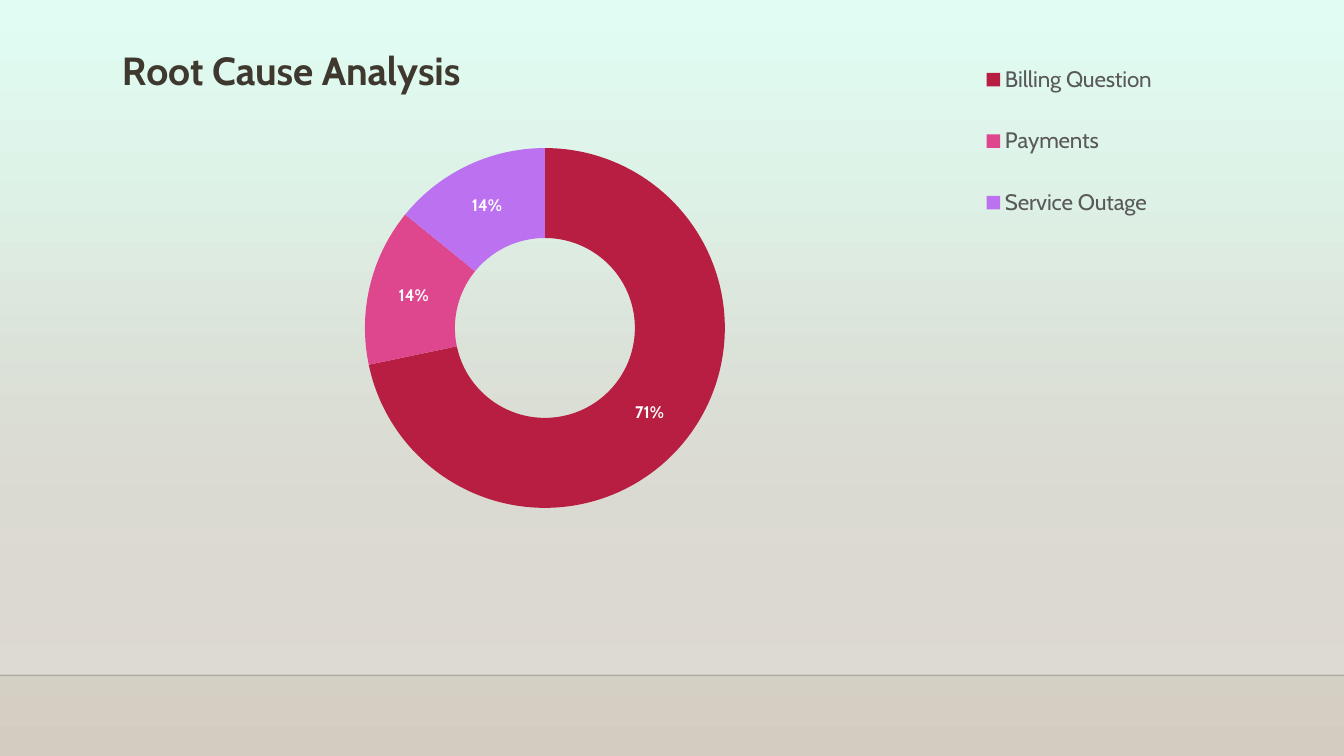
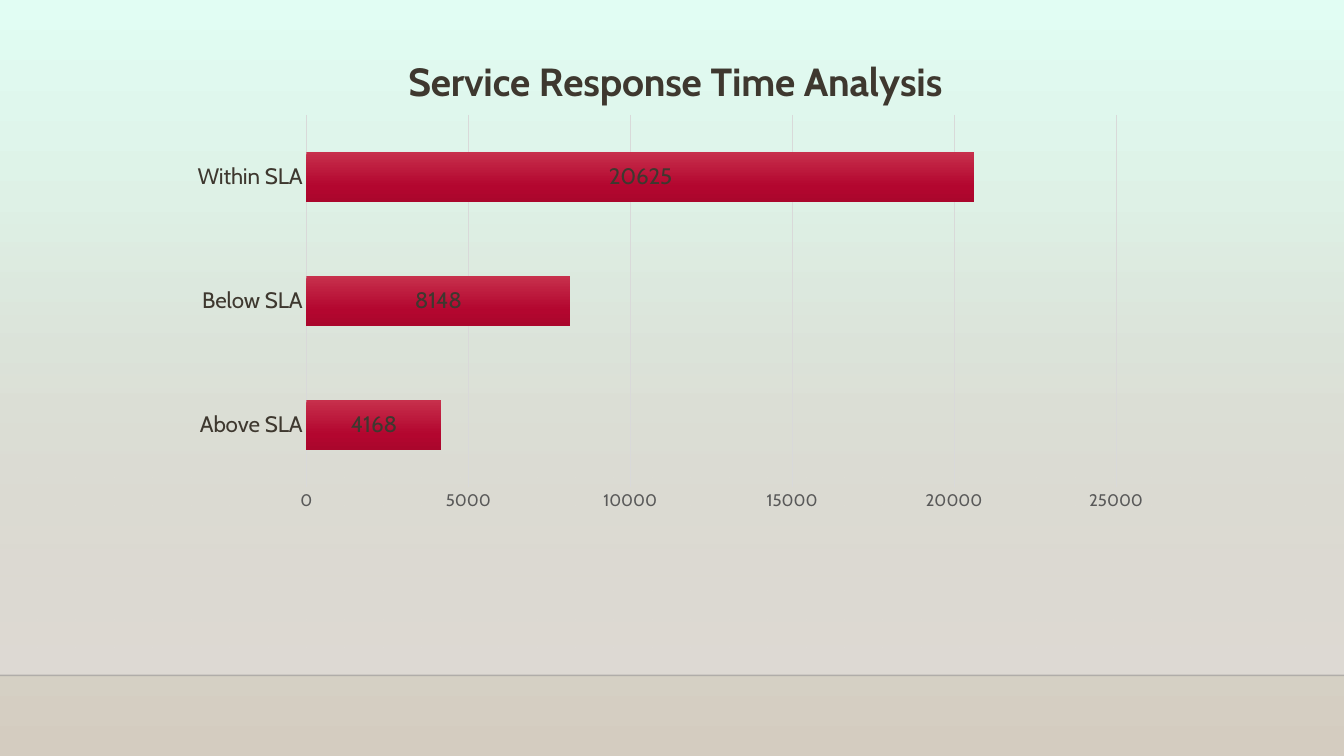
from typing import NamedTuple

from lxml.etree import SubElement
from pptx import Presentation
from pptx.chart.data import CategoryChartData
from pptx.dml.color import RGBColor
from pptx.enum.chart import XL_CHART_TYPE as CT
from pptx.enum.chart import XL_LABEL_POSITION as LP
from pptx.enum.chart import XL_LEGEND_POSITION, XL_TICK_MARK
from pptx.enum.shapes import MSO_CONNECTOR, MSO_SHAPE
from pptx.oxml.ns import qn
from pptx.util import Inches, Pt

FONT = "Cabin"
DARK = RGBColor(0x3E, 0x38, 0x2F)
GRAY = RGBColor(0x59, 0x59, 0x59)
GRID = RGBColor(0xD9, 0xD9, 0xD9)
WHITE = RGBColor(0xFF, 0xFF, 0xFF)
BLACK = RGBColor(0x00, 0x00, 0x01)
MINT = RGBColor(0xE1, 0xFD, 0xF3)
SAND = RGBColor(0xD4, 0xCC, 0xC0)
STONE = RGBColor(0xDF, 0xDB, 0xD5)
SLICES = (RGBColor(0xB7, 0x1E, 0x42), RGBColor(0xDE, 0x47, 0x8E),
          RGBColor(0xBC, 0x72, 0xF0))
BAR_TOP = RGBColor(0xC7, 0x30, 0x4C)
BAR_MID = RGBColor(0xB3, 0x06, 0x2F)
BAR_END = RGBColor(0xAA, 0x06, 0x2C)

SLIDE_W, SLIDE_H, FLOOR = 13.33, 7.5, 6.7


class Box(NamedTuple):
    """Place on the slide, in inches."""
    left: float
    top: float
    width: float = 0
    height: float = 0


class Stop(NamedTuple):
    percent: int
    color: RGBColor
    alpha: int = 100


class ChartSlide(NamedTuple):
    title: str
    kind: CT
    frame: Box
    title_box: Box
    plot_box: Box
    values: dict[str, int]


ROOT_CAUSE = ChartSlide(
    "Root Cause Analysis", CT.DOUGHNUT,
    Box(1.08, 0, 10.51, 5.18), Box(1.14, 0.36), Box(3.62, 1.47, 3.57, 3.57),
    {"Billing Question": 71, "Payments": 14, "Service Outage": 14})
LEGEND_BOX = Box(9.68, 0.31, 1.85, 2.18)

RESPONSE_TIME = ChartSlide(
    "Service Response Time Analysis", CT.BAR_STACKED,
    Box(1.76, 0.19, 9.77, 4.99), Box(3.98, 0.47), Box(3.04, 1.14, 8.03, 3.69),
    {"Above SLA": 4168, "Below SLA": 8148, "Within SLA": 20625})


def set_gradient(fill, owner, *stops: Stop) -> None:
    """Fill from top to bottom; owner is the element that holds the fill."""
    fill.gradient()
    fill.gradient_angle = 270
    gs_list = next(owner.iter(qn("a:gsLst")))
    for old in list(gs_list):
        gs_list.remove(old)
    for stop in stops:
        gs = SubElement(gs_list, qn("a:gs"), pos=str(stop.percent * 1000))
        color = SubElement(gs, qn("a:srgbClr"), val=str(stop.color))
        if stop.alpha < 100:
            SubElement(color, qn("a:alpha"), val=str(stop.alpha * 1000))


def set_font(font, size: float, color: RGBColor, bold: bool = False) -> None:
    font.name, font.size, font.bold = FONT, Pt(size), bold
    font.color.rgb = color


def place(chart, tag: str, box: Box, frame: Box) -> None:
    """Give a chart part a manual layout inside the chart frame."""
    part = next(chart.element.iter(qn(tag)))
    for old in part.findall(qn("c:layout")):
        part.remove(old)
    leading = {qn("c:tx"), qn("c:legendPos")}
    layout = SubElement(part, qn("c:layout"))
    part.insert(sum(child.tag in leading for child in part), layout)
    manual = SubElement(layout, qn("c:manualLayout"))
    settings = {"xMode": "edge", "yMode": "edge",
                "x": (box.left - frame.left) / frame.width,
                "y": (box.top - frame.top) / frame.height}
    if tag == "c:plotArea":
        settings = {"layoutTarget": "inner"} | settings
    if box.width:
        settings |= {"w": box.width / frame.width, "h": box.height / frame.height}
    for name, value in settings.items():
        SubElement(manual, qn(f"c:{name}"), val=str(value))


def build_master(prs, slide) -> None:
    """Set the background and move the wall and floor line to the master."""
    master = prs.slide_master
    set_gradient(master.background.fill, master.element,
                 Stop(0, MINT), Stop(100, SAND))

    # Wall that fades in above the floor
    wall = slide.shapes.add_shape(
        MSO_SHAPE.RECTANGLE, 0, Inches(2.21), Inches(SLIDE_W), Inches(FLOOR - 2.21))
    wall.shadow.inherit = False
    wall.line.fill.background()
    set_gradient(wall.fill, wall.element, Stop(0, STONE, 0), Stop(100, STONE))

    # Floor line
    line = slide.shapes.add_connector(
        MSO_CONNECTOR.STRAIGHT, 0, Inches(FLOOR), Inches(SLIDE_W), Inches(FLOOR))
    line.line.width = Pt(1)
    line.line.color.rgb = BLACK
    color = next(line.element.iter(qn("a:srgbClr")))
    SubElement(color, qn("a:alpha"), val="20000")
    SubElement(line.element.spPr, qn("a:effectLst"))

    for i, sp in enumerate((wall, line)):
        master.shapes.element.insert(2 + i, sp.element)


def add_titled_chart(slide, content: ChartSlide):
    data = CategoryChartData()
    data.categories = content.values.keys()
    data.add_series("Series 1", content.values.values())
    frame = content.frame
    chart = slide.shapes.add_chart(
        content.kind, *(Inches(v) for v in frame), data).chart
    set_font(chart.font, 10, BLACK)
    chart.has_legend = False

    chart.has_title = True
    tf = chart.chart_title.text_frame
    tf.text = content.title
    set_font(tf.paragraphs[0].font, 28, DARK, bold=True)
    place(chart, "c:title", content.title_box, frame)
    place(chart, "c:plotArea", content.plot_box, frame)

    chart.plots[0].has_data_labels = True
    chart.plots[0].data_labels.show_value = True
    return chart


def format_doughnut(chart) -> None:
    plot = chart.plots[0]
    for i, color in enumerate(SLICES):
        fmt = plot.series[0].points[i].format
        fmt.fill.solid()
        fmt.fill.fore_color.rgb = color
        fmt.line.fill.background()

    labels = plot.data_labels
    labels.show_percentage = False
    labels.number_format = '0"%"'
    labels.number_format_is_linked = False
    set_font(labels.font, 12, WHITE, bold=True)

    chart.has_legend = True
    legend = chart.legend
    legend.position = XL_LEGEND_POSITION.RIGHT
    legend.include_in_layout = False
    set_font(legend.font, 16, GRAY)
    place(chart, "c:legend", LEGEND_BOX, ROOT_CAUSE.frame)


def format_bars(chart) -> None:
    plot = chart.plots[0]
    plot.gap_width, plot.overlap = 150, 100
    plot.vary_by_categories = False
    set_gradient(plot.series[0].format.fill, chart.element,
                 Stop(0, BAR_TOP), Stop(69, BAR_MID), Stop(100, BAR_END))
    plot.data_labels.position = LP.CENTER
    set_font(plot.data_labels.font, 16, DARK)

    cats, vals = chart.category_axis, chart.value_axis
    for axis, size, color in ((cats, 16, DARK), (vals, 12, GRAY)):
        axis.major_tick_mark = axis.minor_tick_mark = XL_TICK_MARK.NONE
        set_font(axis.tick_labels.font, size, color)
    cats.format.line.color.rgb = GRID
    cats.format.line.width = Pt(1)
    vals.format.line.fill.background()
    vals.minimum_scale, vals.maximum_scale, vals.major_unit = 0, 25000, 5000
    grid = vals.major_gridlines.format.line
    grid.color.rgb = GRID
    grid.width = Pt(0.75)


def main() -> None:
    prs = Presentation()
    prs.slide_width, prs.slide_height = Inches(SLIDE_W), Inches(SLIDE_H)
    blank = prs.slide_layouts[6]
    slides = [prs.slides.add_slide(blank) for _ in range(2)]
    build_master(prs, slides[0])

    format_doughnut(add_titled_chart(slides[0], ROOT_CAUSE))
    format_bars(add_titled_chart(slides[1], RESPONSE_TIME))
    prs.save("out.pptx")


if __name__ == "__main__":
    main()
